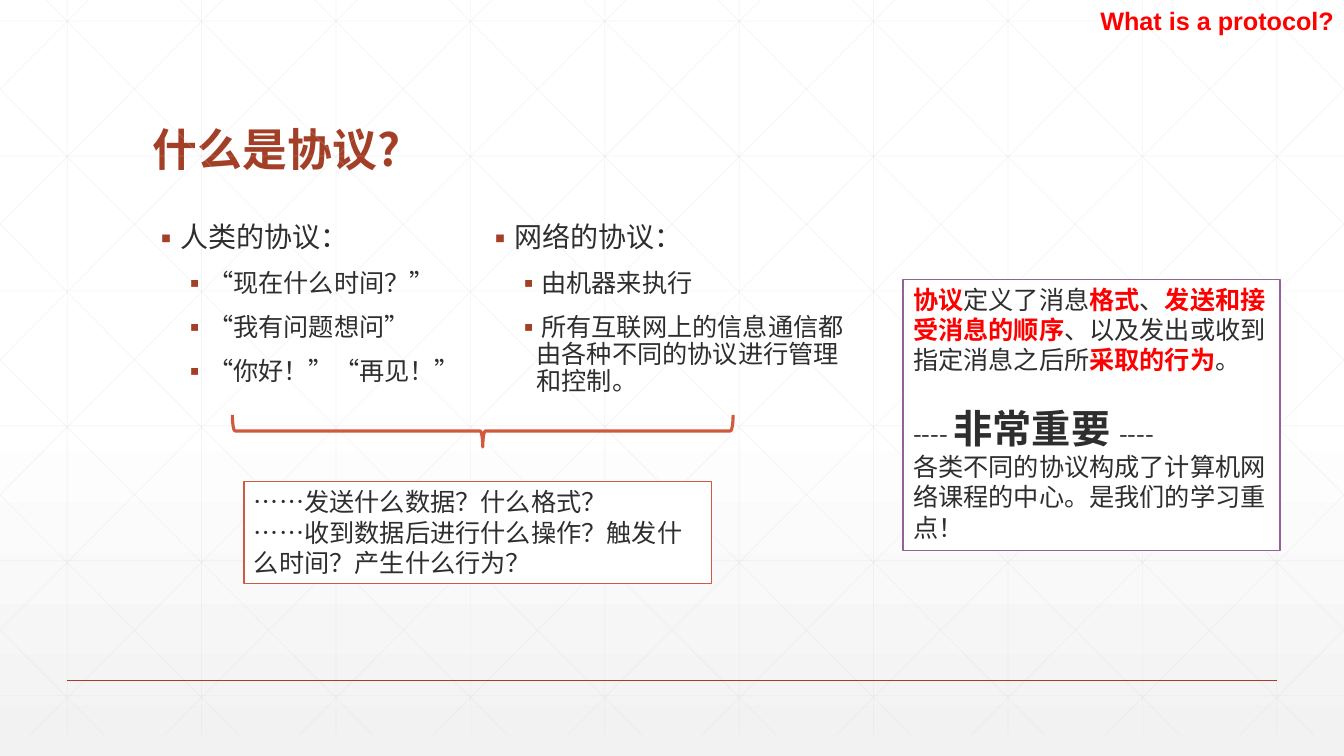
from lxml.etree import SubElement
from pptx import Presentation
from pptx.dml.color import RGBColor
from pptx.enum.lang import MSO_LANGUAGE_ID
from pptx.enum.shapes import MSO_CONNECTOR, MSO_SHAPE
from pptx.enum.text import MSO_ANCHOR, MSO_AUTO_SIZE, PP_ALIGN
from pptx.oxml.ns import qn
from pptx.util import Cm, Pt

WHITE = RGBColor(0xFF, 0xFF, 0xFF)
PALE_GREY = RGBColor(0xF2, 0xF2, 0xF2)
GRID_GREY = RGBColor(0xD9, 0xD9, 0xD9)
RUST = RGBColor(0xA4, 0x3F, 0x27)
ORANGE = RGBColor(0xD1, 0x5A, 0x3E)
PURPLE = RGBColor(0x92, 0x63, 0x97)
INK = RGBColor(0x2D, 0x2E, 0x2D)
RED = RGBColor(0xFF, 0x00, 0x00)

CHINESE_FONT = "Noto Sans CJK SC"
WIDTH, HEIGHT = 33.87, 19.05
GRID_TOP, GRID_BOTTOM = -0.53, 18.52
GRID_STEP = WIDTH / 10
DIAGONAL_RUN = 18.93

HUMAN_PROTOCOLS = ["人类的协议：", "“现在什么时间？”", "“我有问题想问”", "“你好！”“再见！”"]
NETWORK_PROTOCOLS = ["网络的协议：", "由机器来执行",
                     "所有互联网上的信息通信都由各种不同的协议进行管理和控制。"]
QUESTIONS = ["……发送什么数据？什么格式？",
             "……收到数据后进行什么操作？触发什么时间？产生什么行为？"]
# Pieces at odd positions are emphasised.
DEFINITION = ["", "协议", "定义了消息", "格式", "、", "发送和接受消息的顺序",
              "、以及发出或收到指定消息之后所", "采取的行为", "。"]
IMPORTANT = ["---- ", "非常重要 ", "----"]
CONCLUSION = ["各类不同的协议构成了计算机网络课程的中心。是我们的学习重点！"]


def place(left, top, width, height):
    return Cm(left), Cm(top), Cm(width), Cm(height)


def style_span(span, size, color=INK, bold=False, name=CHINESE_FONT):
    font = span.font
    font.size, font.bold, font.name = Pt(size), bold, name
    font.color.rgb = color
    if name == CHINESE_FONT:
        font.language_id = MSO_LANGUAGE_ID.SIMPLIFIED_CHINESE
        properties = span._r.get_or_add_rPr()
        SubElement(properties, qn("a:ea"), typeface=name)


def add_spans(para, pieces, size=18, strong_size=18, strong_color=INK):
    for index, piece in enumerate(pieces):
        if not piece:
            continue
        span = para.add_run()
        span.text = piece
        if index % 2:
            style_span(span, strong_size, strong_color, bold=True)
        else:
            style_span(span, size)


def add_line(slide, start, end, color, weight, opacity=None):
    line = slide.shapes.add_connector(
        MSO_CONNECTOR.STRAIGHT, *(Cm(value) for value in (*start, *end)))
    line.line.color.rgb = color
    line.line.width = Pt(weight)
    properties = line._element.spPr
    if opacity:
        solid_color = properties.find(".//" + qn("a:srgbClr"))
        SubElement(solid_color, qn("a:alpha"), val=str(opacity * 1000))
    SubElement(properties, qn("a:effectLst"))


def diagonals():
    """Yield the ends of both families of slanted lines, cut at the slide's sides."""
    slope = (GRID_BOTTOM - GRID_TOP) / DIAGONAL_RUN
    for step in range(-5, 10):
        origin = 0.63 + step * GRID_STEP
        left, right = max(origin, 0), min(origin + DIAGONAL_RUN, WIDTH)
        high, low = (GRID_TOP + (x - origin) * slope for x in (left, right))
        yield (left, high), (right, low)
        yield (WIDTH - left, high), (WIDTH - right, low)


def draw_background(slide):
    fill = slide.background.fill
    fill.gradient()
    fill.gradient_angle = 270
    for stop, position, color in zip(fill.gradient_stops, (0.53, 1), (WHITE, PALE_GREY)):
        stop.position = position
        stop.color.rgb = color

    columns = [GRID_STEP * (index + 0.5) for index in range(10)]
    rows = [0.53 + 3.4 * index for index in range(6)]
    grid = [((x, GRID_TOP), (x, GRID_BOTTOM)) for x in columns]
    grid += [((0, y), (WIDTH, y)) for y in rows]
    for start, end in [*grid, *diagonals()]:
        add_line(slide, start, end, GRID_GREY, 0.5, opacity=25)
    add_line(slide, (columns[0], 17.15), (columns[-1], 17.15), RUST, 1)


def write_title(slide, text):
    title = slide.shapes.title
    title.left, title.top, title.width, title.height = place(3.6, 1.4, 26.67, 3.18)
    frame = title.text_frame
    frame.text = text
    frame.auto_size = MSO_AUTO_SIZE.NONE
    frame.vertical_anchor = MSO_ANCHOR.BOTTOM
    para = frame.paragraphs[0]
    para.alignment = PP_ALIGN.LEFT
    para.line_spacing = 0.9
    style_span(para.runs[0], 32, RUST, bold=True)


def add_bullet(para, indent, hanging):
    properties = para._p.get_or_add_pPr()
    properties.set("marL", str(Cm(indent)))
    properties.set("indent", str(-Cm(hanging)))
    color = SubElement(properties, qn("a:buClr"))
    SubElement(color, qn("a:srgbClr"), val=str(RUST))
    SubElement(properties, qn("a:buFont"), typeface=CHINESE_FONT)
    SubElement(properties, qn("a:buChar"), char="▪")


def add_bullet_list(slide, left, lines):
    """Write a heading bullet followed by second-level bullets."""
    frame = slide.shapes.add_textbox(*place(left, 5.51, 9.91, 10.59)).text_frame
    frame.word_wrap = True
    frame.text = "\n".join(lines)
    for index, para in enumerate(frame.paragraphs):
        para.line_spacing = 0.9
        if index:
            para.level = 1
            para.space_before = Pt(12)
            add_bullet(para, 1.27, 0.51)
        else:
            add_bullet(para, 0.64, 0.64)
        style_span(para.runs[0], 18 if index else 20)


def add_corner_label(slide, text):
    frame = slide.shapes.add_textbox(*place(21.12, 0, 12.75, 1.02)).text_frame
    frame.word_wrap = True
    frame.text = text
    para = frame.paragraphs[0]
    para.alignment = PP_ALIGN.RIGHT
    style_span(para.runs[0], 18, RED, bold=True, name="Arial")


def add_brace(slide):
    brace = slide.shapes.add_shape(MSO_SHAPE.RIGHT_BRACE, *place(11.76, 4.55, 0.81, 12.62))
    brace.rotation = 90
    brace.shadow.inherit = False
    brace.fill.background()
    brace.line.color.rgb = ORANGE
    brace.line.width = Pt(2.25)


def add_framed_box(slide, position, border):
    box = slide.shapes.add_shape(MSO_SHAPE.RECTANGLE, *place(*position))
    box.shadow.inherit = False
    box.fill.solid()
    box.fill.fore_color.rgb = WHITE
    box.line.color.rgb = border
    box.line.width = Pt(1)
    frame = box.text_frame
    frame.word_wrap = True
    frame.vertical_anchor = MSO_ANCHOR.TOP
    frame.auto_size = MSO_AUTO_SIZE.SHAPE_TO_FIT_TEXT
    return frame


def add_left_para(frame, is_first=False):
    para = frame.paragraphs[0] if is_first else frame.add_paragraph()
    para.alignment = PP_ALIGN.LEFT
    return para


def main():
    deck = Presentation()
    deck.slide_width, deck.slide_height = Cm(WIDTH), Cm(HEIGHT)
    slide = deck.slides.add_slide(deck.slide_layouts[5])
    draw_background(slide)
    write_title(slide, "什么是协议?")
    add_bullet_list(slide, 3.6, HUMAN_PROTOCOLS)
    add_corner_label(slide, "What is a protocol?")
    add_bullet_list(slide, 12, NETWORK_PROTOCOLS)
    add_brace(slide)

    questions = add_framed_box(slide, (6.15, 12.14, 11.79, 2.57), ORANGE)
    for index, question in enumerate(QUESTIONS):
        add_spans(add_left_para(questions, index == 0), [question])

    summary = add_framed_box(slide, (22.76, 7.04, 9.5, 6.83), PURPLE)
    add_spans(add_left_para(summary, True), DEFINITION, strong_color=RED)
    important = add_left_para(summary)
    important.space_before = Pt(21)
    add_spans(important, IMPORTANT, strong_size=28)
    add_spans(add_left_para(summary), CONCLUSION)
    deck.save("out.pptx")


if __name__ == "__main__":
    main()
